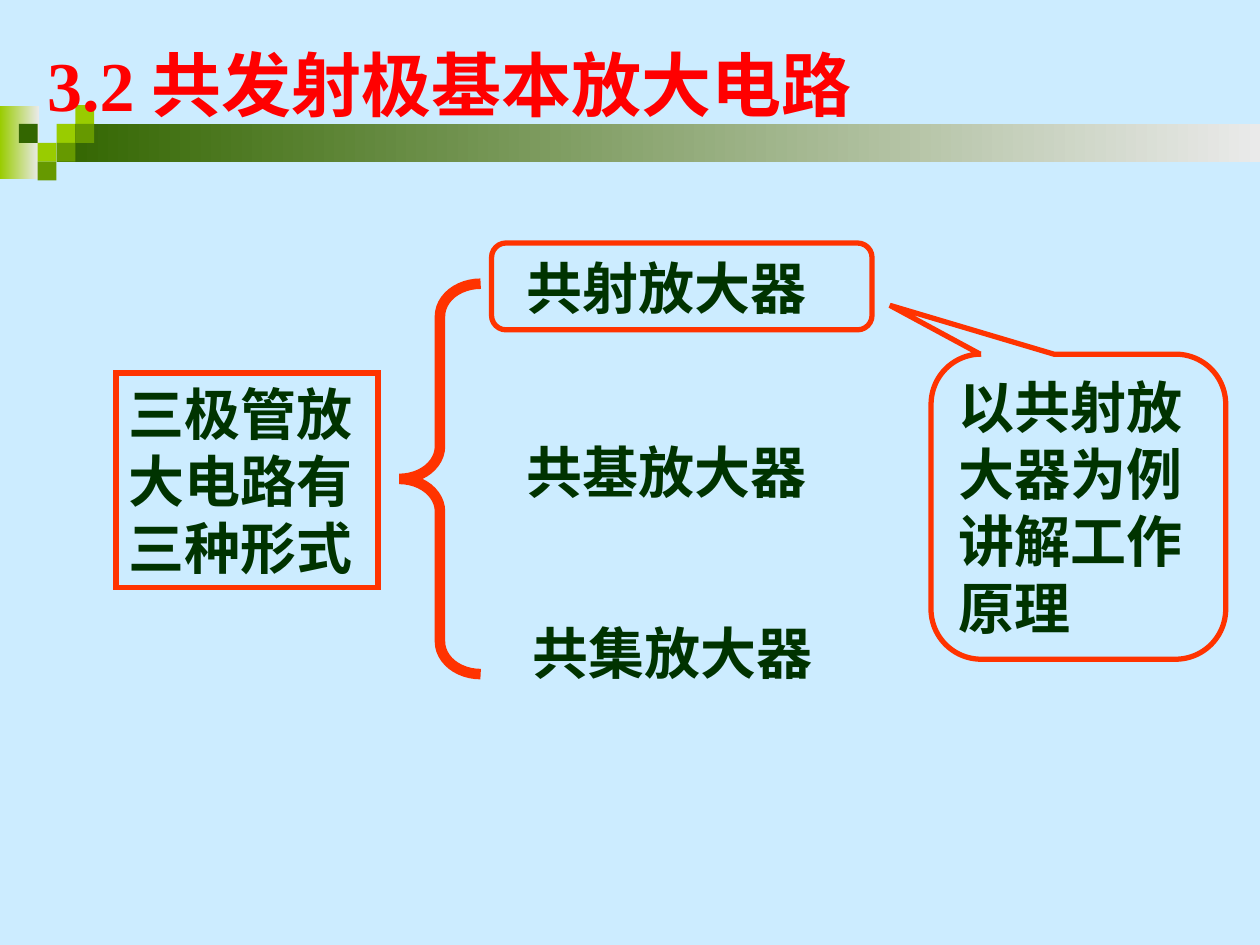
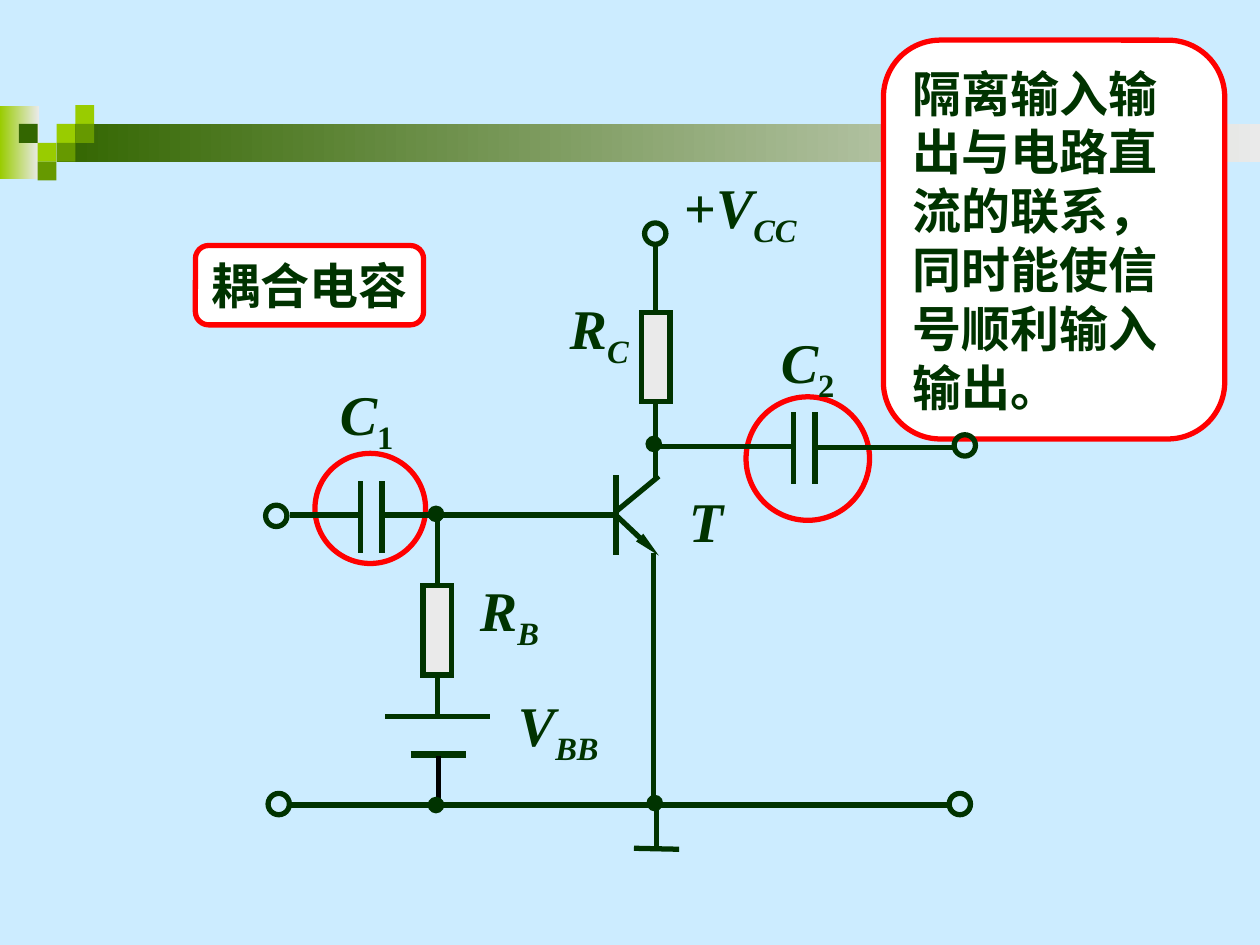
from lxml.etree import SubElement
from pptx import Presentation
from pptx.dml.color import RGBColor
from pptx.enum.shapes import MSO_CONNECTOR, MSO_SHAPE
from pptx.enum.text import MSO_ANCHOR, PP_ALIGN
from pptx.oxml.ns import qn
from pptx.util import Cm, Pt

# Shared style
FONT = "Times New Roman"
HUE = {"sky": "CCECFF", "lime": "99CC00", "leaf": "669900", "moss": "336600",
       "grey": "EAEAEA", "ink": "003300", "red": "FF0000", "flame": "FF3300",
       "white": "FFFFFF", "black": "000000"}
RECT, ROUND, OVAL = MSO_SHAPE.RECTANGLE, MSO_SHAPE.ROUNDED_RECTANGLE, MSO_SHAPE.OVAL

# Band: fades as (place, first colour, last colour), tiles as (column, row, colour)
FADES = [((0, 2.13, 0.79, 1.48), "lime", "grey"),
         ((1.14, 2.5, 24.26, 0.76), "moss", "grey")]
TILES = [(2, 1, "lime"), (3, 0, "lime"), (3, 1, "leaf"), (1, 2, "lime"),
         (0, 1, "moss"), (2, 2, "leaf"), (1, 3, "leaf")]
TILE = 0.38

# Slide 1: places are left, top, width, height in cm
TITLE = "3.2 共发射极基本放大电路"
ROOT = "三极管放大电路有三种形式"
KINDS = [("共射放大器", 10.36, 4.98), ("共基放大器", 10.36, 8.69),
         ("共集放大器", 10.49, 12.34)]
HINT = "以共射放大器为例讲解工作原理"

# Slide 2
NAME = "耦合电容"
ROLE = "隔离输入输出与电路直流的联系，同时能使信号顺利输入输出。"
RINGS = [(6.35, 9.14, 2.23, 2.22), (15.04, 8, 2.49, 2.49)]
LOADS = [  # resistor place, wire start above, wire end below
    ((12.93, 6.3, 0.58, 1.8), (13.22, 4.93), (13.22, 9.65)),
    ((8.53, 11.81, 0.58, 1.8), (8.82, 10.38), (8.82, 14.45))]
WIRES = [
    (5.84, 10.38, 7.24, 10.38),    # input
    (7.7, 10.38, 12.45, 10.38),    # base
    (12.42, 9.58, 12.42, 11.18),   # transistor bar
    (12.42, 10.31, 13.28, 9.6),    # collector
    (13.18, 11.15, 13.18, 16.23),  # emitter to bus
    (13.18, 9, 15.98, 9),          # collector to C2
    (16.43, 9.02, 19.25, 9.02),    # output
    (5.84, 16.23, 19.15, 16.23),   # bus
    (7.77, 14.45, 9.88, 14.45),    # long battery plate
    (13.23, 16.26, 13.23, 17.12),  # earth lead
    (12.78, 17.1, 13.69, 17.12)]   # earth bar
PLATES = [(7.26, 9.7), (7.7, 9.7), (16, 8.31), (16.43, 8.31)]
PORTS = [(13.21, 4.71), (5.57, 10.4), (5.62, 16.21), (19.45, 8.98), (19.35, 16.21)]
DOTS = [(13.18, 8.95), (8.79, 10.36), (8.79, 16.23), (13.2, 16.19)]
SIGNS = [  # place, plain part, italic letter, index, italic index
    ((9.42, 11.48, 1.7, 1.8), "", "R", "B", True),
    ((13.54, 3.35, 2.77, 1.8), "+", "V", "CC", True),
    ((10.19, 13.79, 2.13, 1.8), "", "V", "BB", True),
    ((11.23, 5.79, 1.7, 1.8), "", "R", "C", True),
    ((6.29, 7.52, 2.2, 1.8), "", "C", "1", False),
    ((15.18, 6.48, 2.2, 1.8), "", "C", "2", False),
    ((13.64, 9.68, 1.19, 1.63), "", "T", "", True)]


def rgb(name):
    return RGBColor.from_string(HUE[name])


def shape(slide, kind, at, fill=None, line=None, width=3, adj=()):
    item = slide.shapes.add_shape(kind, *map(Cm, at))
    item.shadow.inherit = False
    if fill:
        item.fill.solid()
        item.fill.fore_color.rgb = rgb(fill)
    else:
        item.fill.background()
    if line:
        item.line.color.rgb = rgb(line)
        item.line.width = Pt(width)
        # Sharp corners
        SubElement(item.line._get_or_add_ln(), qn("a:miter"), lim="800000")
    else:
        item.line.fill.background()
    for num, part in enumerate(adj):
        item.adjustments[num] = part
    return item


def write(item, runs, size=32, hue="ink", align=PP_ALIGN.LEFT, wrap=True, inset=0.25):
    """Fill a shape with runs given as (text, italic, lowered)."""
    frame = item.text_frame
    frame.word_wrap = wrap
    frame.vertical_anchor = MSO_ANCHOR.MIDDLE
    frame.margin_left, frame.margin_right = Cm(inset), Cm(0.25)
    frame.margin_top = frame.margin_bottom = Cm(0.13)
    para = frame.paragraphs[0]
    para.alignment = align
    for text, slant, low in runs:
        if not text:
            continue
        run = para.add_run()
        run.text = text
        font = run.font
        font.name, font.size, font.bold, font.italic = FONT, Pt(size), True, slant
        font.color.rgb = rgb(hue)
        if low:
            run._r.get_or_add_rPr().set("baseline", "-25000")


def plain(text):
    return [(text, False, False)]


def label(slide, at, runs, **style):
    write(slide.shapes.add_textbox(*map(Cm, at)), runs, **style)


def wire(slide, ends, width=3, hue="ink", arrow=False):
    item = slide.shapes.add_connector(MSO_CONNECTOR.STRAIGHT, *map(Cm, ends))
    item.line.color.rgb = rgb(hue)
    item.line.width = Pt(width)
    if arrow:
        SubElement(item.line._get_or_add_ln(), qn("a:tailEnd"),
                   type="triangle", w="sm", len="lg")
    SubElement(item._element.spPr, qn("a:effectLst"))
    return item


def disc(slide, spot, size, **style):
    x, y = spot
    shape(slide, OVAL, (x - size / 2, y - size / 2, size, size), line="ink", **style)


def start(deck):
    """Add a blank slide with the green band."""
    slide = deck.slides.add_slide(deck.slide_layouts[6])
    for at, *ends in FADES:
        fill = shape(slide, RECT, at).fill
        fill.gradient()
        fill.gradient_angle = 0
        for stop, name in zip(fill.gradient_stops, ends):
            stop.color.rgb = rgb(name)
    for col, row, name in TILES:
        shape(slide, RECT, (0.38 + col * TILE, 2.12 + row * TILE, TILE, TILE), name)
    return slide


def tree(deck):
    slide = start(deck)
    label(slide, (0, 0.71, 18.29, 1.96), plain(TITLE), size=40, hue="red", inset=0.95)
    write(shape(slide, RECT, (2.34, 7.52, 5.28, 4.32), line="flame"), plain(ROOT))
    shape(slide, MSO_SHAPE.LEFT_BRACE, (8.05, 5.72, 1.64, 7.87),
          line="flame", width=6, adj=(0.4, 0.5))
    for text, x, y in KINDS:
        label(slide, (x, y, 7.37, 1.63), plain(text))
    shape(slide, ROUND, (9.91, 4.9, 7.67, 1.75), line="flame")
    hint = shape(slide, MSO_SHAPE.ROUNDED_RECTANGULAR_CALLOUT, (18.77, 7.14, 5.94, 6.15),
                 line="flame", adj=(-0.64, -0.66, 0.17))
    write(hint, plain(HINT))


def circuit(deck):
    slide = start(deck)
    # Marked capacitors and notes
    for at in RINGS:
        shape(slide, OVAL, at, line="red")
    name = shape(slide, ROUND, (3.94, 4.95, 4.6, 1.6), "white", "red")
    write(name, plain(NAME), size=28, align=PP_ALIGN.CENTER, wrap=False)
    role = shape(slide, ROUND, (17.81, 0.81, 6.88, 8.04), "white", "red")
    write(role, plain(ROLE), size=28)
    # Resistors with their leads
    for at, top, end in LOADS:
        load = shape(slide, RECT, at, "grey", "ink")
        wire(slide, top * 2).end_connect(load, 0)
        wire(slide, end * 2).begin_connect(load, 2)
    # Wires, plates and battery
    for ends in WIRES:
        wire(slide, ends)
    wire(slide, (12.42, 10.39, 13.28, 11.2), arrow=True)
    for x, y in PLATES:
        wire(slide, (x, y, x, y + 1.45))
    wire(slide, (8.28, 15.21, 9.4, 15.21), width=4.5)
    wire(slide, (8.84, 15.24, 8.84, 16.21), hue="black")
    # Terminals, nodes and labels
    for spot in PORTS:
        disc(slide, spot, 0.43)
    for spot in DOTS:
        disc(slide, spot, 0.3, fill="ink", width=1)
    for at, sign, letter, index, slant in SIGNS:
        label(slide, at, [(sign, False, False), (letter, True, False), (index, slant, True)],
              align=PP_ALIGN.CENTER, wrap=False)


def main():
    deck = Presentation()
    deck.slide_width, deck.slide_height = Cm(25.4), Cm(19.05)
    back = deck.slide_master.background.fill
    back.solid()
    back.fore_color.rgb = rgb("sky")
    tree(deck)
    circuit(deck)
    deck.save("out.pptx")


if __name__ == "__main__":
    main()
